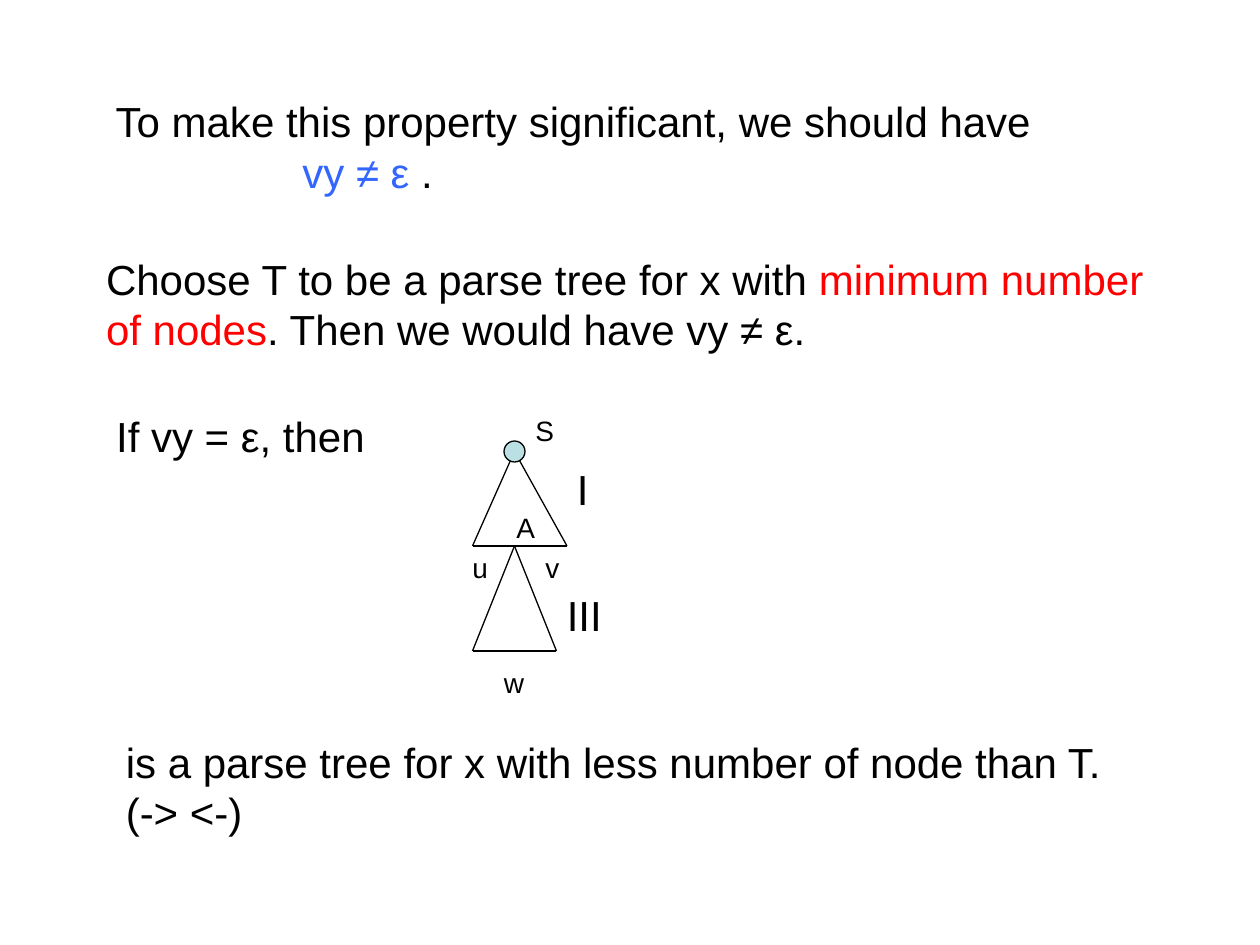
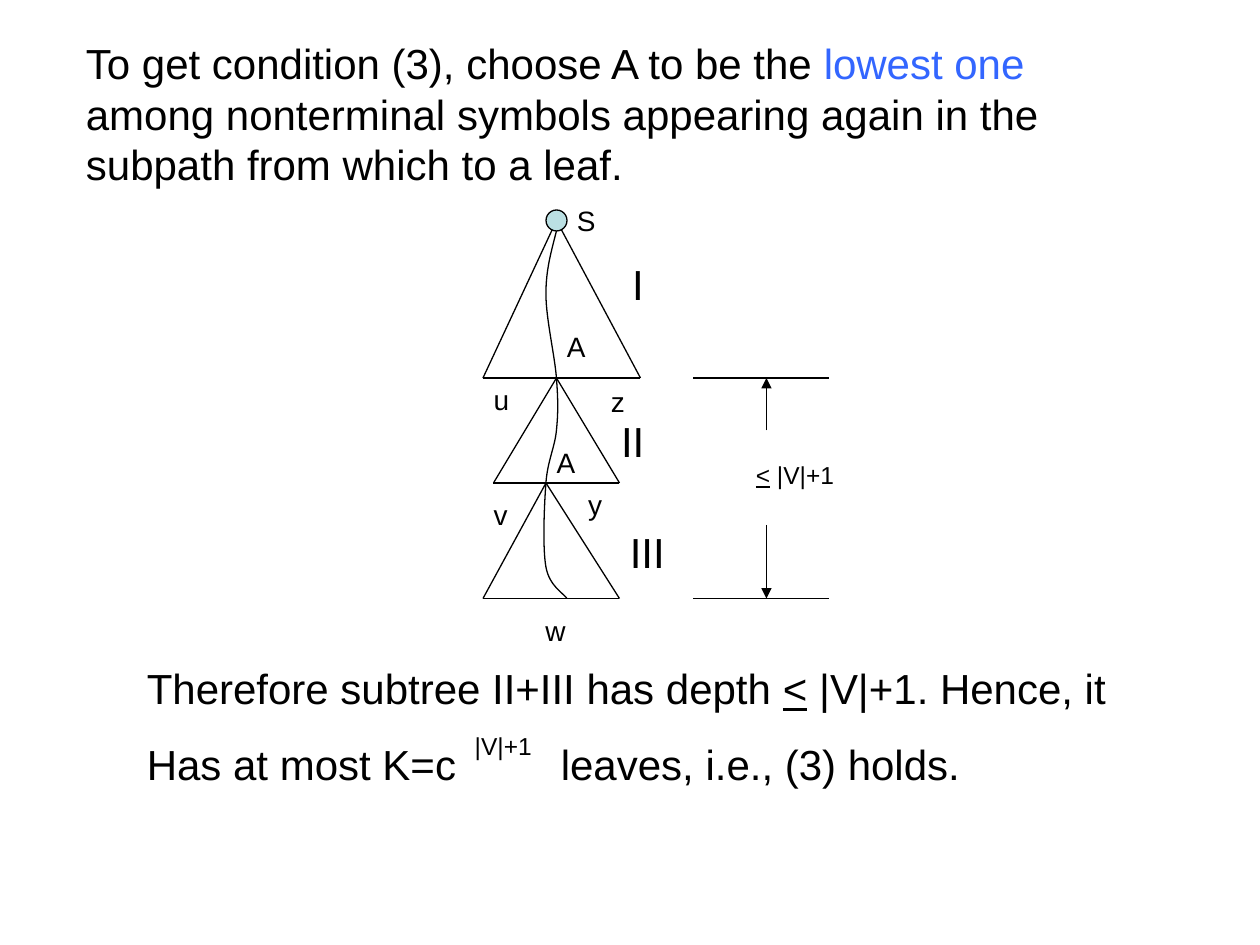
from lxml import etree
from pptx import Presentation
from pptx.dml.color import RGBColor
from pptx.enum.shapes import MSO_CONNECTOR, MSO_SHAPE
from pptx.enum.text import MSO_AUTO_SIZE
from pptx.oxml.ns import qn
from pptx.util import Pt

STRAIGHT = MSO_CONNECTOR.STRAIGHT
OVAL = MSO_SHAPE.OVAL
FIT_SHAPE = MSO_AUTO_SIZE.SHAPE_TO_FIT_TEXT

COLORS = {"text": "000000", "blue": "3366FF", "red": "FF0000", "node": "BBE0E3"}
FONT_NAME = "Arial"
LINE_WIDTH = 0.75
NODE_SIZE = 12
BODY, LABEL, SMALL = 24, 16, 14
BOX_HEIGHTS = {BODY: 36, LABEL: 26.6, SMALL: 24.5}
LINE_HEIGHT = 28.8
LABEL_WIDTHS = {"I": 21.2, "II": 28.2, "III": 34.8, "A": 25.4, "S": 25.4,
                "u": 23.5, "v": 22.6, "w": 26.2, "y": 22.6, "z": 22.6}

PLAIN = {}
BLUE = {"color": "blue"}
RED = {"color": "red"}
UNDERLINED = {"underline": True}

MINIMUM_TREE = {
    "texts": [
        {"at": (59, 51.1, 546.5), "paragraphs": [
            {"runs": [("To make this property significant, we should have", PLAIN)]},
            {"runs": [("vy ≠ ε", BLUE), (" .", PLAIN)], "indent": 106.7}]},
        {"at": (53.5, 141.1, 607.5), "paragraphs": [
            {"runs": [("Choose T to be a parse tree for x with ", PLAIN),
                      ("minimum number", RED)]},
            {"runs": [("of nodes", RED), (". Then we would have vy ≠ ε.", PLAIN)]}]},
        {"at": (59.3, 231.1, 163.2), "paragraphs": [
            {"runs": [("If vy = ε, then", PLAIN)]}]},
        {"at": (64.8, 417.2, 574.6), "paragraphs": [
            {"runs": [("is a parse tree for x with less number of node than T.", PLAIN)]},
            {"runs": [("(-> <-)", PLAIN)]}]},
    ],
    "triangles": [((294, 258), 270, 324, 312), ((294, 312), 270, 318, 372)],
    "regions": [("I", 322.6, 261.4), ("III", 316.8, 333.4)],
    "symbols": [("A", 288, 288), ("S", 298.8, 232.6), ("u", 262.8, 311),
                ("v", 304.6, 311), ("w", 280.8, 376.6)],
}

LOWEST_SYMBOL = {
    "texts": [
        {"at": (42, 18, 630), "wrap": True, "paragraphs": [
            {"runs": [("To get condition (3), choose A to be the ", PLAIN),
                      ("lowest one", BLUE)]},
            {"runs": [("among nonterminal symbols appearing again in the", PLAIN)]},
            {"runs": [("subpath from which to a leaf.", PLAIN)]}]},
        {"at": (76.8, 375.2, 562.3), "paragraphs": [
            {"runs": [("Therefore subtree II+III has depth ", PLAIN),
                      ("<", UNDERLINED), (" |V|+1. Hence, it", PLAIN)]},
            {"runs": [("Has at most K=c\tleaves, i.e., (3) holds.", PLAIN)],
             "tab": 236.6, "space_before": 14.2}]},
        {"at": (264.2, 414, 52), "wrap": True, "size": SMALL, "paragraphs": [
            {"runs": [("|V|+1", PLAIN)]}]},
        {"at": (424.8, 259.2, 59), "size": SMALL, "paragraphs": [
            {"runs": [("<", UNDERLINED), (" |V|+1", PLAIN)]}]},
    ],
    "triangles": [((318, 126), 276, 366, 216), ((318, 216), 282, 354, 276),
                  ((312, 276), 276, 354, 342)],
    "regions": [("I", 354.2, 144), ("II", 347.8, 234), ("III", 352.8, 297.4)],
    "symbols": [("A", 316.8, 185), ("A", 311, 250.9), ("u", 275, 214.9),
                ("v", 275, 280.8), ("w", 304.6, 347), ("y", 329, 275),
                ("z", 342, 216), ("S", 322.6, 113)],
}
PATH_TO_LEAF = [(318, 132),
                (314.6, 143.5), (312, 154), (312, 168),
                (312, 182), (316.8, 203), (318, 216),
                (319, 229), (319, 236), (318, 246),
                (316.8, 256), (313, 263), (312, 276),
                (311, 289), (310, 313), (312, 324),
                (314, 335), (322, 339), (324, 342)]
DEPTH_LIMITS = {"left": 396, "right": 474, "arrow_x": 438,
                "arrows": [(246, 216), (300, 342)]}


def rgb(name):
    return RGBColor.from_string(COLORS[name])


def style_line(line):
    line.color.rgb = rgb("text")
    line.width = Pt(LINE_WIDTH)


def add_line(slide, start, end, arrow=False):
    connector = slide.shapes.add_connector(
        STRAIGHT, *(Pt(value) for value in (*start, *end)))
    style_line(connector.line)
    properties = connector._element.spPr
    if arrow:
        outline = properties.find(qn("a:ln"))
        etree.SubElement(outline, qn("a:tailEnd"), type="triangle")
    etree.SubElement(properties, qn("a:effectLst"))


def add_curve(slide, points):
    builder = slide.shapes.build_freeform(*points[0], scale=Pt(1))
    builder.add_line_segments(points[1:], close=False)
    shape = builder.convert_to_shape()
    shape.shadow.inherit = False
    shape.fill.background()
    style_line(shape.line)
    outline = shape._element.spPr.find(".//" + qn("a:path"))
    segments = outline.findall(qn("a:lnTo"))
    for first in range(0, len(segments), 3):
        curve = etree.SubElement(outline, qn("a:cubicBezTo"))
        for segment in segments[first:first + 3]:
            curve.append(segment[0])
            outline.remove(segment)


def format_paragraph(paragraph, content):
    properties = paragraph._p.get_or_add_pPr()
    if "indent" in content:
        properties.set("marL", str(Pt(content["indent"])))
    if "space_before" in content:
        paragraph.space_before = Pt(content["space_before"])
    if "tab" in content:
        tabs = etree.SubElement(properties, qn("a:tabLst"))
        etree.SubElement(tabs, qn("a:tab"), pos=str(Pt(content["tab"])), algn="l")


def add_text(slide, at, paragraphs, size=BODY, wrap=False):
    height = BOX_HEIGHTS[size] + LINE_HEIGHT * (len(paragraphs) - 1)
    height += sum(content.get("space_before", 0) for content in paragraphs)
    box = slide.shapes.add_textbox(*(Pt(value) for value in (*at, height)))
    frame = box.text_frame
    frame.word_wrap = wrap
    frame.auto_size = FIT_SHAPE
    for index, content in enumerate(paragraphs):
        paragraph = frame.add_paragraph() if index else frame.paragraphs[0]
        format_paragraph(paragraph, content)
        for text, style in content["runs"]:
            run = paragraph.add_run()
            run.text = text
            run.font.color.rgb = rgb(style.get("color", "text"))
            font_values = {"name": FONT_NAME, "size": Pt(size),
                           "underline": style.get("underline")}
            for attribute, value in font_values.items():
                setattr(run.font, attribute, value)


def add_tree(slide, content):
    for apex, left, right, base in content["triangles"]:
        corners = (left, base), (right, base)
        add_line(slide, apex, corners[0])
        add_line(slide, *corners)
        add_line(slide, apex, corners[1])
    root_x, root_y = content["triangles"][0][0]
    node = slide.shapes.add_shape(
        OVAL, Pt(root_x - NODE_SIZE / 2), Pt(root_y - NODE_SIZE / 2),
        Pt(NODE_SIZE), Pt(NODE_SIZE))
    node.shadow.inherit = False
    node.fill.solid()
    node.fill.fore_color.rgb = rgb("node")
    style_line(node.line)
    for group, size in (("regions", BODY), ("symbols", LABEL)):
        for text, left, top in content[group]:
            add_text(slide, (left, top, LABEL_WIDTHS[text]),
                     [{"runs": [(text, PLAIN)]}], size)


def add_depth_limits(slide):
    arrow_x = DEPTH_LIMITS["arrow_x"]
    for start, end in DEPTH_LIMITS["arrows"]:
        add_line(slide, (DEPTH_LIMITS["left"], end), (DEPTH_LIMITS["right"], end))
        add_line(slide, (arrow_x, start), (arrow_x, end), arrow=True)


def add_content_slide(presentation, content):
    slide = presentation.slides.add_slide(presentation.slide_layouts[6])
    add_tree(slide, content)
    for text in content["texts"]:
        add_text(slide, **text)
    return slide


def main():
    presentation = Presentation()
    presentation.slide_width = Pt(720)
    presentation.slide_height = Pt(540)
    add_content_slide(presentation, MINIMUM_TREE)
    slide = add_content_slide(presentation, LOWEST_SYMBOL)
    add_curve(slide, PATH_TO_LEAF)
    add_depth_limits(slide)
    presentation.save("out.pptx")


if __name__ == "__main__":
    main()
